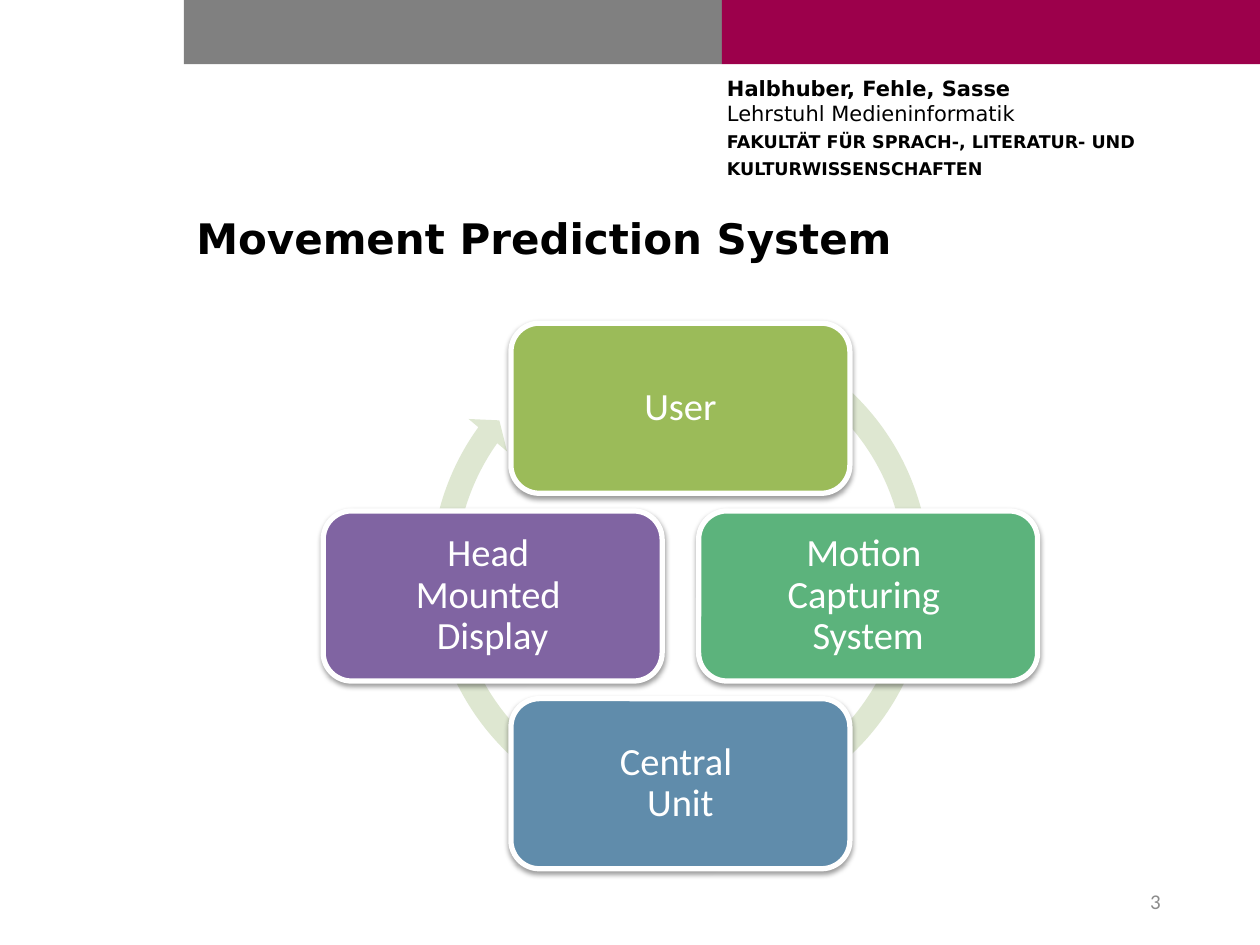
from dataclasses import dataclass

from lxml.etree import SubElement
from pptx import Presentation
from pptx.dml.color import RGBColor
from pptx.enum.shapes import MSO_SHAPE
from pptx.enum.text import MSO_ANCHOR, PP_ALIGN
from pptx.oxml.ns import qn
from pptx.util import Inches, Pt

BLACK = RGBColor(0x00, 0x00, 0x00)
WHITE = RGBColor(0xFF, 0xFF, 0xFF)
GRAY = RGBColor(0x80, 0x80, 0x80)
NUMBER_GRAY = RGBColor(0x8C, 0x8C, 0x8C)
CRIMSON = RGBColor(0x9C, 0x00, 0x4B)
PALE_GREEN = RGBColor(0xDE, 0xE7, 0xD1)
GREEN = RGBColor(0x9B, 0xBB, 0x59)
TEAL = RGBColor(0x5C, 0xB3, 0x7C)
BLUE = RGBColor(0x60, 0x8C, 0xAB)
PURPLE = RGBColor(0x80, 0x64, 0xA2)

HEAD_FONT = "DejaVu Sans"
BODY_FONT = "Calibri"

# Cycle geometry: four boxes around one centre
CENTER_X, CENTER_Y = 5.4, 4.73
STEP = 1.49
BOX_W, BOX_H = 2.69, 1.35
RING = 4.16


@dataclass
class Node:
    text: str
    color: RGBColor
    dx: int
    dy: int


NODES = [
    Node("User", GREEN, 0, -1),
    Node("Motion \vCapturing \vSystem", TEAL, 1, 0),
    Node("Central \vUnit", BLUE, 0, 1),
    Node("Head \vMounted \vDisplay", PURPLE, -1, 0),
]

prs = Presentation()
prs.slide_width, prs.slide_height = Inches(10), Inches(7.5)
s = prs.slides.add_slide(prs.slide_layouts[6])


def set_font(target, name: str, size: int, color: RGBColor, bold: bool = False):
    font = target.font
    font.name, font.size, font.bold = name, Pt(size), bold
    font.color.rgb = color


def add_filled(kind, x: float, y: float, w: float, h: float, color: RGBColor):
    sp = s.shapes.add_shape(kind, Inches(x), Inches(y), Inches(w), Inches(h))
    sp.shadow.inherit = False
    sp.fill.solid()
    sp.fill.fore_color.rgb = color
    sp.line.fill.background()
    return sp


def add_text(x: float, y: float, w: float, h: float):
    tf = s.shapes.add_textbox(Inches(x), Inches(y), Inches(w), Inches(h)).text_frame
    tf.word_wrap = True
    return tf


def set_margins(tf, inset: float):
    tf.margin_left = tf.margin_right = Inches(inset)
    tf.margin_top = tf.margin_bottom = Inches(inset)


def add_drop_shadow(sp):
    effects = sp._element.spPr.find(qn("a:effectLst"))
    shadow = SubElement(effects, qn("a:outerShdw"), blurRad=str(Pt(3.1)),
                        dist=str(Pt(1.6)), dir="5400000", rotWithShape="0")
    color = SubElement(shadow, qn("a:srgbClr"), val="000000")
    SubElement(color, qn("a:alpha"), val="38000")


def add_node(node: Node):
    sp = add_filled(MSO_SHAPE.ROUNDED_RECTANGLE,
                    CENTER_X + node.dx * STEP - BOX_W / 2,
                    CENTER_Y + node.dy * STEP - BOX_H / 2,
                    BOX_W, BOX_H, node.color)
    sp.line.color.rgb, sp.line.width = WHITE, Pt(3)
    add_drop_shadow(sp)
    tf = sp.text_frame
    tf.word_wrap = True
    tf.vertical_anchor = MSO_ANCHOR.MIDDLE
    set_margins(tf, 0.09)
    p = tf.paragraphs[0]
    p.text, p.alignment, p.line_spacing = node.text, PP_ALIGN.CENTER, 0.9
    set_font(p, BODY_FONT, 22, WHITE)


# Header bars
for x, color in ((1.46, GRAY), (5.73, CRIMSON)):
    add_filled(MSO_SHAPE.RECTANGLE, x, 0, 4.27, 0.51, color)

# Header text
tf = add_text(5.77, 0.6, 4.04, 0.94)
set_margins(tf, 0)
p = tf.paragraphs[0]
p.space_after = Pt(3)
for text, bold in (("Halbhuber, Fehle, Sasse", True), ("Lehrstuhl Medieninformatik", False)):
    if p.runs:
        p.add_line_break()
    r = p.add_run()
    r.text = text
    set_font(r, HEAD_FONT, 12, BLACK, bold)
for text in ("FAKULTÄT FÜR SPRACH-, LITERATUR- UND", "KULTURWISSENSCHAFTEN"):
    p = tf.add_paragraph()
    p.text, p.space_after = text, Pt(3)
    set_font(p, HEAD_FONT, 10, BLACK, True)

# Title
p = add_text(1.46, 1.64, 7.86, 0.76).paragraphs[0]
p.text = "Movement Prediction System"
set_font(p, HEAD_FONT, 24, BLACK, True)

# Cycle arrow and boxes
ring = add_filled(MSO_SHAPE.CIRCULAR_ARROW, CENTER_X - RING / 2, 2.47, RING, RING, PALE_GREEN)
for i, value in enumerate((0.047, 2.729, 129.383, 179.584, 0.048)):
    ring.adjustments[i] = value
for node in NODES:
    add_node(node)

# Slide number
tf = add_text(7.06, 6.95, 2.25, 0.4)
tf.vertical_anchor = MSO_ANCHOR.MIDDLE
p = tf.paragraphs[0]
p.text, p.alignment = "3", PP_ALIGN.RIGHT
set_font(p, BODY_FONT, 12, NUMBER_GRAY)

prs.save("out.pptx")
